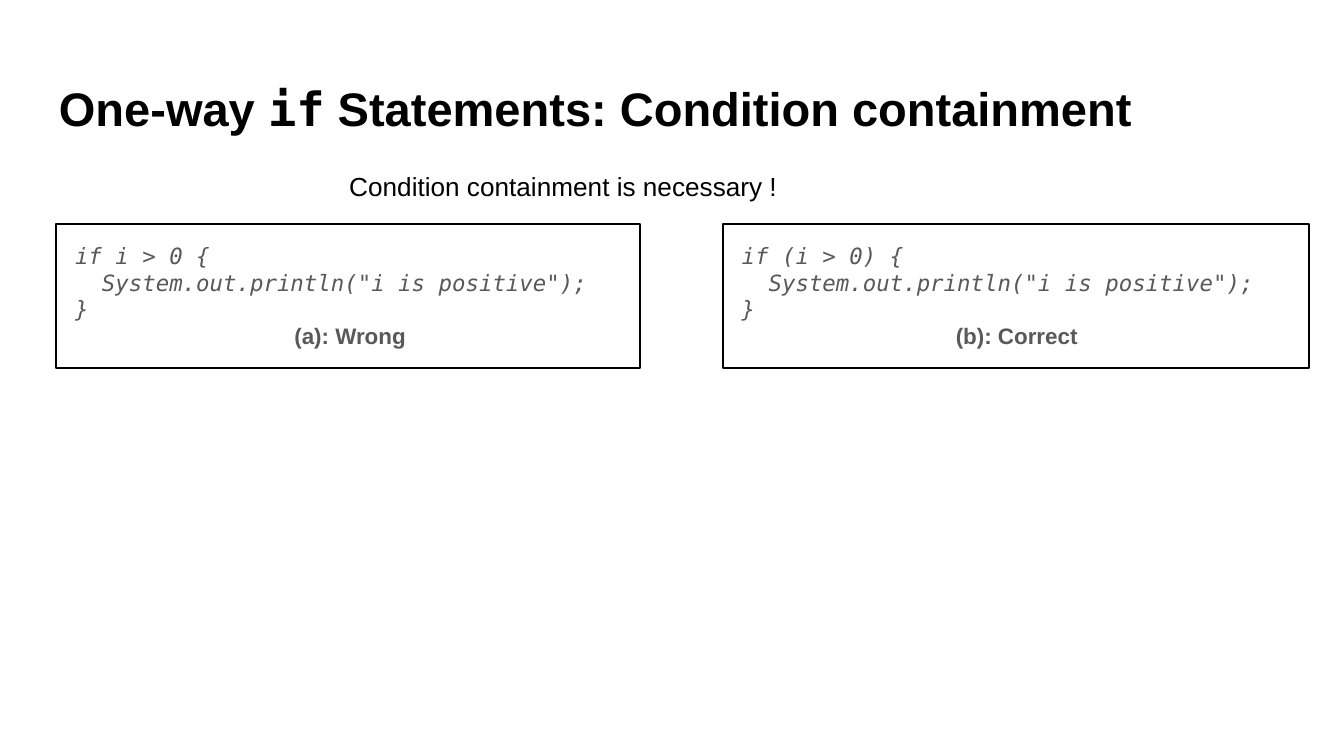
from pptx import Presentation
from pptx.dml.color import RGBColor
from pptx.enum.shapes import MSO_SHAPE as SHAPE
from pptx.enum.text import PP_ALIGN as ALIGN
from pptx.util import Inches, Pt

# Content
SANS, MONO = "Arial", "DejaVu Sans Mono"
TITLE = [("One-way ", SANS), ("if", MONO), (" Statements: Condition containment", SANS)]
NOTE = "Condition containment is necessary !"
BODY = ['  System.out.println("i is positive");', "}"]
# Frame left, frame width, first code line, caption
PANELS = [
    (0.42, 4.34, "if i > 0 {", "(a): Wrong"),
    (5.38, 4.36, "if (i > 0) {", "(b): Correct"),
]

# Layout and text formats
W = 10
H = W * 9 / 16
FRAME_TOP, FRAME_H = 1.67, 1.07
INSET_X, INSET_Y = 0.04, 0.08
CODE_W = 4.29
TITLE_FORMAT = dict(size=25.2, bold=True, color="000000")
NOTE_FORMAT = dict(name=SANS, size=14, color="000000")
CODE_FORMAT = dict(name=MONO, size=12, italic=True, color="595959")
CAPTION_FORMAT = dict(name=SANS, size=12, bold=True, color="595959")


def rgb(value):
    return RGBColor.from_string(value)


def add_run(p, text, **fmt):
    r = p.add_run()
    r.text = text
    r.font.color.rgb = rgb(fmt.pop("color"))
    r.font.size = Pt(fmt.pop("size"))
    for key, value in fmt.items():
        setattr(r.font, key, value)


def add_text(s, box, wrap=True, pad_y=0.05):
    tf = s.shapes.add_textbox(*map(Inches, box)).text_frame
    tf.word_wrap = wrap
    tf.margin_top = tf.margin_bottom = Inches(pad_y)
    return tf


prs = Presentation()
prs.slide_width, prs.slide_height = Inches(W), Inches(H)
s = prs.slides.add_slide(prs.slide_layouts[6])

# Title
tf = add_text(s, (0.34, 0.49, 9.32, 0.63), pad_y=0.1)
for text, font in TITLE:
    add_run(tf.paragraphs[0], text, name=font, **TITLE_FORMAT)

# Frames
for left, width, *_ in PANELS:
    sp = s.shapes.add_shape(SHAPE.FLOWCHART_PROCESS,
                            *map(Inches, (left, FRAME_TOP, width, FRAME_H)))
    sp.shadow.inherit = False
    sp.fill.background()
    sp.line.color.rgb = rgb("000000")
    sp.line.width = Pt(1)

# Code and captions inside the frames
for left, _, condition, caption in PANELS:
    tf = add_text(s, (left + INSET_X, FRAME_TOP + INSET_Y, CODE_W, FRAME_H - 2 * INSET_Y))
    p = tf.paragraphs[0]
    for line in [condition, *BODY]:
        add_run(p, line, **CODE_FORMAT)
        p = tf.add_paragraph()
    p.alignment = ALIGN.CENTER
    add_run(p, caption, **CAPTION_FORMAT)

# Note above the frames
tf = add_text(s, (2.5, 1.22, 3.4, 0.34), wrap=False)
add_run(tf.paragraphs[0], NOTE, **NOTE_FORMAT)

prs.save("out.pptx")
